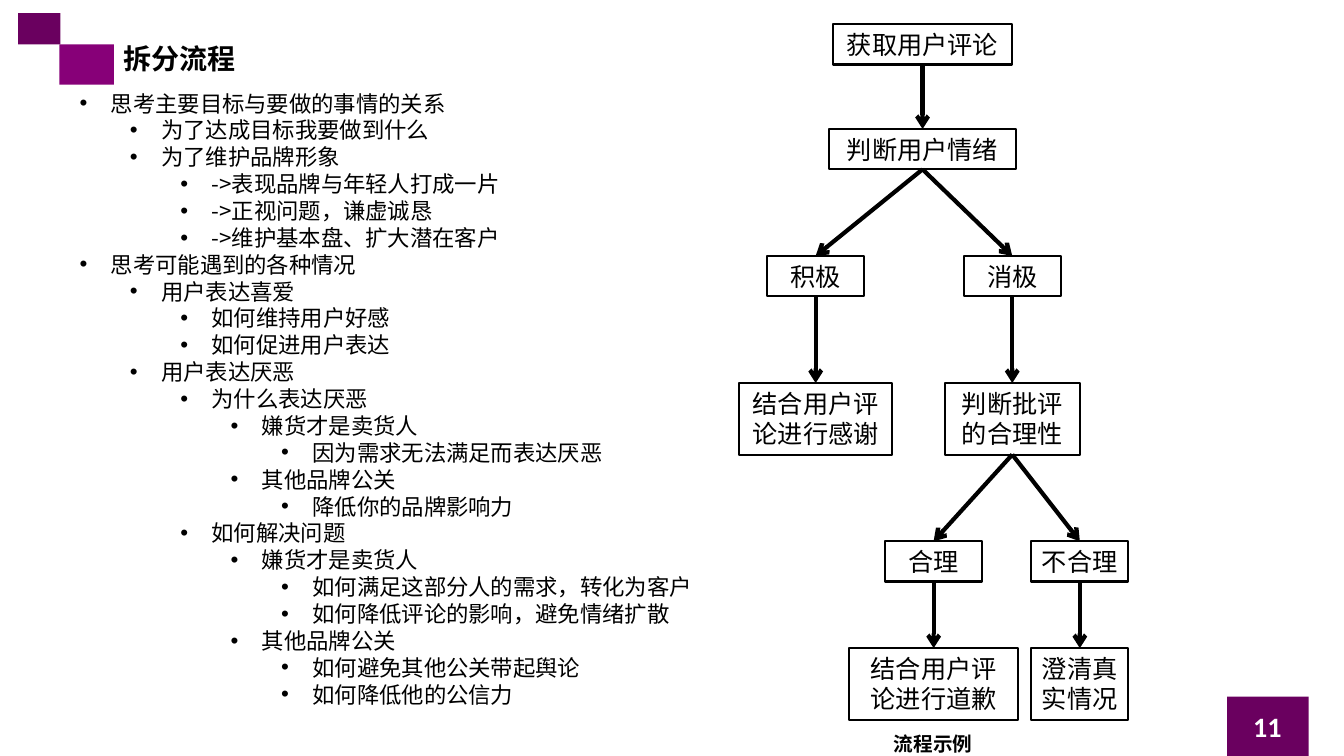
from lxml.etree import SubElement
from pptx import Presentation
from pptx.dml.color import RGBColor
from pptx.enum.shapes import MSO_CONNECTOR, MSO_SHAPE
from pptx.enum.text import MSO_ANCHOR, PP_ALIGN
from pptx.oxml.ns import qn
from pptx.util import Pt

EMU_PER_PX = 9144
SLIDE_WIDTH, SLIDE_HEIGHT = 1333, 750
CJK_FONT, LATIN_FONT = "Noto Sans CJK SC", "Calibri"
BLACK, WHITE, DARK_PURPLE, PURPLE = "000000", "FFFFFF", "6A005F", "870078"

DECORATIONS = [
    ((1217, 691, 81, 59), DARK_PURPLE),
    ((59, 44, 54, 40), PURPLE),
    ((18, 13, 42, 31), DARK_PURPLE),
]

# text, box, font, size, alignment, colour
LABELS = [
    ("11", (1181, 701, 152, 40), LATIN_FONT, 20, PP_ALIGN.CENTER, WHITE),
    ("拆分流程", (113, 36, 1185, 44), CJK_FONT, 20, PP_ALIGN.LEFT, BLACK),
    ("流程示例", (768, 721, 315, 34), CJK_FONT, 14, PP_ALIGN.CENTER, BLACK),
]

OUTLINE_BOX = (69, 84, 641, 629)
OUTLINE_INDENT, OUTLINE_STEP = 31, 50
OUTLINE = [
    (0, "思考主要目标与要做的事情的关系"),
    (1, "为了达成目标我要做到什么"),
    (1, "为了维护品牌形象"),
    (2, "->表现品牌与年轻人打成一片"),
    (2, "->正视问题，谦虚诚恳"),
    (2, "->维护基本盘、扩大潜在客户"),
    (0, "思考可能遇到的各种情况"),
    (1, "用户表达喜爱"),
    (2, "如何维持用户好感"),
    (2, "如何促进用户表达"),
    (1, "用户表达厌恶"),
    (2, "为什么表达厌恶"),
    (3, "嫌货才是卖货人"),
    (4, "因为需求无法满足而表达厌恶"),
    (3, "其他品牌公关"),
    (4, "降低你的品牌影响力"),
    (2, "如何解决问题"),
    (3, "嫌货才是卖货人"),
    (4, "如何满足这部分人的需求，转化为客户"),
    (4, "如何降低评论的影响，避免情绪扩散"),
    (3, "其他品牌公关"),
    (4, "如何避免其他公关带起舆论"),
    (4, "如何降低他的公信力"),
]

ONE_LINE, TWO_LINES = 40, 71
# name: text, centre x, top, width, height
STEPS = {
    "collect": ("获取用户评论", 915, 24, 178, ONE_LINE),
    "mood": ("判断用户情绪", 915, 128, 186, ONE_LINE),
    "positive": ("积极", 809, 254, 96, ONE_LINE),
    "negative": ("消极", 1004, 254, 96, ONE_LINE),
    "thank": ("结合用户评论进行感谢", 809, 380, 152, TWO_LINES),
    "judge": ("判断批评的合理性", 1004, 380, 134, TWO_LINES),
    "fair": ("合理", 926, 537, 96, ONE_LINE),
    "unfair": ("不合理", 1071, 537, 96, ONE_LINE),
    "apologise": ("结合用户评论进行道歉", 926, 643, 168, TWO_LINES),
    "clarify": ("澄清真实情况", 1071, 643, 96, TWO_LINES),
}
ARROWS = [
    ("collect", "mood"), ("mood", "positive"), ("mood", "negative"),
    ("positive", "thank"), ("negative", "judge"), ("judge", "fair"),
    ("judge", "unfair"), ("fair", "apologise"), ("unfair", "clarify"),
]
BOTTOM_SITE, TOP_SITE = 2, 0


def emu(*lengths):
    return [length * EMU_PER_PX for length in lengths]


def color(hex_string):
    return RGBColor.from_string(hex_string)


def style_paragraph(paragraph, font_name, size, hex_string=BLACK, bold=False):
    font = paragraph.font
    font.name, font.size, font.bold = font_name, Pt(size), bold
    font.color.rgb = color(hex_string)
    properties = paragraph._p.get_or_add_pPr().find(qn("a:defRPr"))
    SubElement(properties, qn("a:ea")).set("typeface", CJK_FONT)


def add_rectangle(slide, box):
    shape = slide.shapes.add_shape(MSO_SHAPE.RECTANGLE, *emu(*box))
    shape.shadow.inherit = False
    return shape


def add_decoration(slide, box, fill):
    shape = add_rectangle(slide, box)
    shape.fill.solid()
    shape.fill.fore_color.rgb = color(fill)
    shape.line.fill.background()


def add_label(slide, text, box, font_name, size, alignment, hex_string):
    frame = slide.shapes.add_textbox(*emu(*box)).text_frame
    frame.word_wrap = True
    frame.vertical_anchor = MSO_ANCHOR.MIDDLE
    paragraph = frame.paragraphs[0]
    paragraph.text, paragraph.alignment = text, alignment
    style_paragraph(paragraph, font_name, size, hex_string, bold=True)


def add_outline(slide):
    frame = slide.shapes.add_textbox(*emu(*OUTLINE_BOX)).text_frame
    frame.word_wrap = True
    for index, (level, text) in enumerate(OUTLINE):
        paragraph = frame.add_paragraph() if index else frame.paragraphs[0]
        paragraph.text, paragraph.level = text, level
        margin, indent = emu(OUTLINE_INDENT + level * OUTLINE_STEP, -OUTLINE_INDENT)
        properties = paragraph._p.get_or_add_pPr()
        properties.set("marL", str(margin))
        properties.set("indent", str(indent))
        SubElement(properties, qn("a:buFont")).set("typeface", "Arial")
        SubElement(properties, qn("a:buChar")).set("char", "•")
        style_paragraph(paragraph, CJK_FONT, 16)


def add_step(slide, text, center, top, width, height):
    shape = add_rectangle(slide, (center - width // 2, top, width, height))
    shape.fill.background()
    shape.line.color.rgb = color(BLACK)
    shape.line.width = Pt(1.5)
    frame = shape.text_frame
    frame.word_wrap = True
    frame.vertical_anchor = MSO_ANCHOR.TOP
    paragraph = frame.paragraphs[0]
    paragraph.text, paragraph.alignment = text, PP_ALIGN.CENTER
    style_paragraph(paragraph, LATIN_FONT, 18)
    return shape


def add_arrow(slide, start, end):
    connector = slide.shapes.add_connector(MSO_CONNECTOR.STRAIGHT, 0, 0, 0, 0)
    connector.begin_connect(start, BOTTOM_SITE)
    connector.end_connect(end, TOP_SITE)
    connector.line.color.rgb = color(BLACK)
    connector.line.width = Pt(3)
    SubElement(connector.line._get_or_add_ln(), qn("a:tailEnd")).set("type", "arrow")
    SubElement(connector._element.spPr, qn("a:effectLst"))


def main():
    presentation = Presentation()
    presentation.slide_width, presentation.slide_height = emu(SLIDE_WIDTH, SLIDE_HEIGHT)
    slide = presentation.slides.add_slide(presentation.slide_layouts[6])
    for box, fill in DECORATIONS:
        add_decoration(slide, box, fill)
    for label in LABELS:
        add_label(slide, *label)
    add_outline(slide)
    steps = {name: add_step(slide, *step) for name, step in STEPS.items()}
    for start, end in ARROWS:
        add_arrow(slide, steps[start], steps[end])
    presentation.save("out.pptx")


if __name__ == "__main__":
    main()
